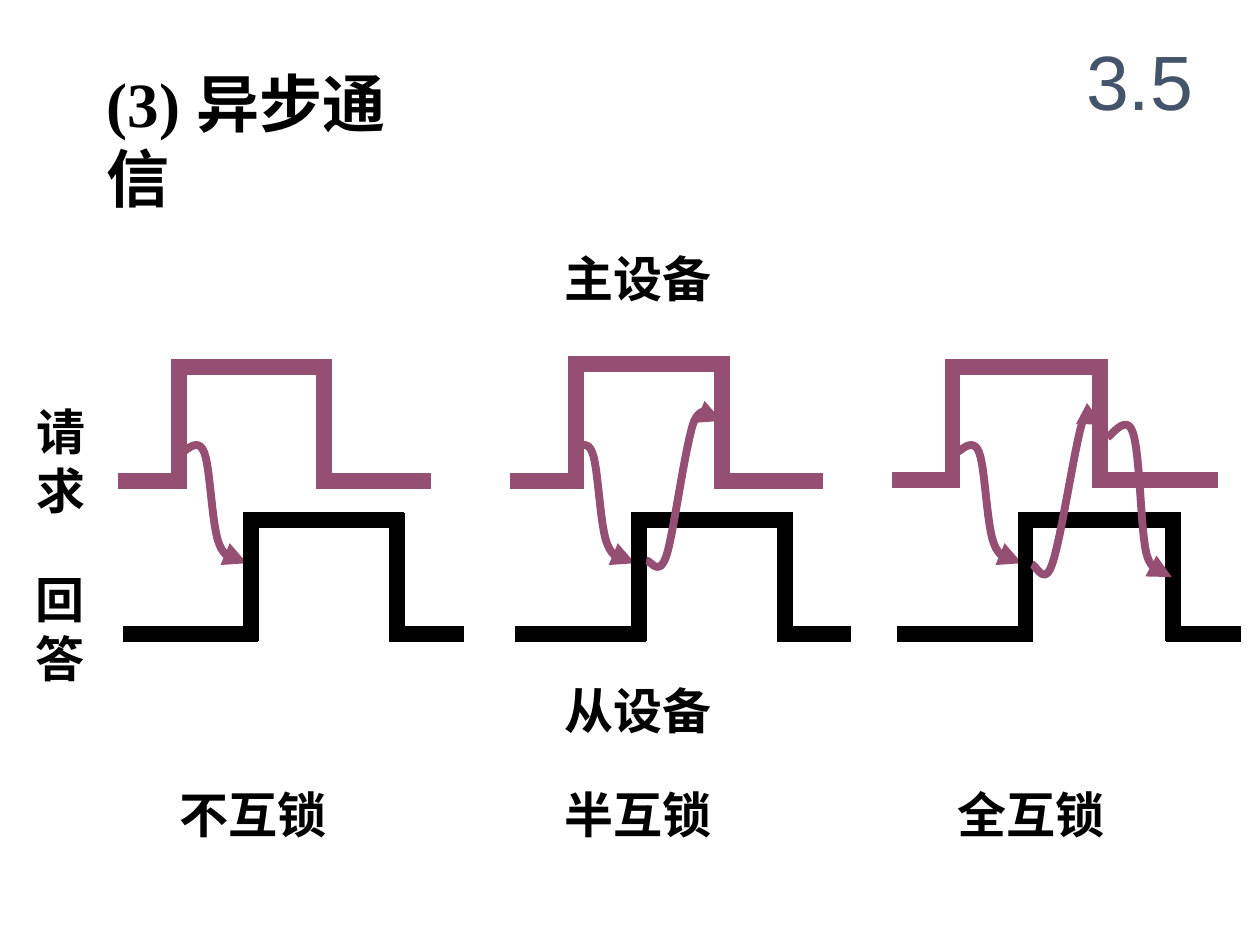
from dataclasses import dataclass

import lxml.etree
import pptx
import pptx.dml.color
import pptx.enum.shapes
import pptx.enum.text
import pptx.oxml.ns
import pptx.util

Inches = pptx.util.Inches
Pt = pptx.util.Pt
PP_ALIGN = pptx.enum.text.PP_ALIGN
MSO_ANCHOR = pptx.enum.text.MSO_ANCHOR

COLORS = {"request": "954F72", "reply": "000000", "text": "000000", "number": "44546A"}
PULSE_WIDTH = 9
ARROW_WIDTH = 4.5
OVERLAP = 0.06
CURVE_STEPS = 12

Point = tuple[float, float]


@dataclass(frozen=True)
class Label:
    text: str
    left: float
    top: float
    width: float
    height: float
    size: int = 28
    font: str = "Times New Roman"
    color: str = "text"
    bold: bool = True
    wrap: bool = True
    align: PP_ALIGN = PP_ALIGN.LEFT
    anchor: MSO_ANCHOR = MSO_ANCHOR.TOP
    right_margin: float = 0.1


@dataclass(frozen=True)
class Pulse:
    start: float
    rise: float
    fall: float
    end: float
    high: float
    low: float
    color: str


LABELS = [
    Label("不互锁", 1.33, 6.18, 2.08, 0.57),
    Label("半互锁", 4.38, 6.18, 2.37, 0.57),
    Label("全互锁", 7.5, 6.18, 2, 0.57),
    Label("(3) 异步通信", 0.75, 0.46, 2.92, 0.7, size=36, right_margin=0.3),
    Label("3.5", 8.42, 0.17, 1.25, 0.92, size=44, font="Arial", color="number",
          bold=False, align=PP_ALIGN.CENTER, anchor=MSO_ANCHOR.MIDDLE),
    Label("主设备", 4.38, 1.92, 2.53, 0.57),
    Label("从设备", 4.38, 5.35, 2.95, 0.57),
    Label("请\n求", 0.19, 3.14, 0.59, 1.03, wrap=False),
    Label("回\n答", 0.18, 4.47, 0.59, 1.03, wrap=False),
]

REQUESTS = [
    Pulse(0.94, 1.42, 2.57, 3.42, 2.91, 3.82, "request"),
    Pulse(4.05, 4.57, 5.73, 6.53, 2.89, 3.82, "request"),
    Pulse(7.08, 7.56, 8.73, 9.67, 2.91, 3.81, "request"),
]
REPLIES = [
    Pulse(0.98, 1.99, 3.15, 3.68, 4.13, 5.03, "reply"),
    Pulse(4.09, 5.07, 6.23, 6.75, 4.13, 5.03, "reply"),
    Pulse(7.12, 8.14, 9.31, 9.85, 4.13, 5.03, "reply"),
]

# Bezier points: a start, then two controls and an end for each segment.
# The x values of this one are measured from the rise of the reply.
REQUEST_TO_REPLY = [
    (-0.55, 3.59), (-0.52, 3.59), (-0.42, 3.46), (-0.37, 3.59),
    (-0.32, 3.71), (-0.31, 4.18), (-0.25, 4.32),
    (-0.19, 4.47), (-0.08, 4.44), (-0.03, 4.47),
]
RETURN_ARROWS = [
    [(5.13, 4.45), (5.16, 4.44), (5.23, 4.59), (5.29, 4.41),
     (5.35, 4.22), (5.44, 3.52), (5.51, 3.34),
     (5.59, 3.17), (5.7, 3.34), (5.73, 3.34)],
    [(8.19, 4.48), (8.22, 4.48), (8.29, 4.66), (8.35, 4.48),
     (8.42, 4.29), (8.53, 3.54), (8.59, 3.35),
     (8.66, 3.17), (8.72, 3.36), (8.75, 3.37)],
    [(8.79, 3.47), (8.82, 3.46), (8.94, 3.28), (8.99, 3.43),
     (9.05, 3.59), (9.05, 4.21), (9.1, 4.4),
     (9.15, 4.58), (9.27, 4.51), (9.3, 4.54),
     (9.33, 4.57), (9.3, 4.57), (9.3, 4.58)],
]


def rgb(name: str) -> pptx.dml.color.RGBColor:
    return pptx.dml.color.RGBColor.from_string(COLORS[name])


def add_label(slide, label: Label) -> None:
    box = slide.shapes.add_textbox(
        Inches(label.left), Inches(label.top), Inches(label.width), Inches(label.height))
    frame = box.text_frame
    frame_format = {
        "word_wrap": label.wrap,
        "vertical_anchor": label.anchor,
        "margin_right": Inches(label.right_margin),
        "text": label.text,
    }
    for name, value in frame_format.items():
        setattr(frame, name, value)
    font_format = {"size": Pt(label.size), "bold": label.bold, "name": label.font}
    for paragraph in frame.paragraphs:
        paragraph.alignment = label.align
        for run in paragraph.runs:
            for name, value in font_format.items():
                setattr(run.font, name, value)
            run.font.color.rgb = rgb(label.color)


def add_stroke(slide, start: Point, end: Point, color: str) -> None:
    stroke = slide.shapes.add_connector(
        pptx.enum.shapes.MSO_CONNECTOR.STRAIGHT,
        *(Inches(value) for value in (*start, *end)))
    stroke.line.color.rgb = rgb(color)
    stroke.line.width = Pt(PULSE_WIDTH)
    properties = stroke.line._get_or_add_ln().getparent()
    lxml.etree.SubElement(properties, pptx.oxml.ns.qn("a:effectLst"))


def add_pulse(slide, pulse: Pulse) -> None:
    """Draw the five strokes of a pulse, overlapping so that its corners are full."""
    left, right = pulse.rise - OVERLAP, pulse.fall + OVERLAP
    top, bottom = pulse.high - OVERLAP, pulse.low + OVERLAP
    strokes = [
        ((pulse.start, pulse.low), (pulse.rise + OVERLAP, pulse.low)),
        ((pulse.rise, top), (pulse.rise, bottom)),
        ((left, pulse.high), (right, pulse.high)),
        ((pulse.fall, top), (pulse.fall, bottom)),
        ((pulse.fall - OVERLAP, pulse.low), (pulse.end, pulse.low)),
    ]
    for start, end in strokes:
        add_stroke(slide, start, end, pulse.color)


def bezier_points(controls: list[Point]) -> list[Point]:
    """Sample chained cubic Bezier segments, leaving out the very first point."""
    points = []
    for first in range(0, len(controls) - 1, 3):
        segment = controls[first:first + 4]
        for step in range(1, CURVE_STEPS + 1):
            t = step / CURVE_STEPS
            weights = ((1 - t) ** 3, 3 * t * (1 - t) ** 2, 3 * t ** 2 * (1 - t), t ** 3)
            points.append(tuple(
                sum(weight * point[axis] for weight, point in zip(weights, segment))
                for axis in (0, 1)))
    return points


def add_curved_arrow(slide, controls: list[Point]) -> None:
    start_x, start_y = controls[0]
    builder = slide.shapes.build_freeform(Inches(start_x), Inches(start_y))
    builder.add_line_segments(
        [(Inches(x), Inches(y)) for x, y in bezier_points(controls)], close=False)
    arrow = builder.convert_to_shape()
    arrow.shadow.inherit = False
    arrow.fill.background()
    arrow.line.color.rgb = rgb("request")
    arrow.line.width = Pt(ARROW_WIDTH)
    lxml.etree.SubElement(
        arrow.line._get_or_add_ln(), pptx.oxml.ns.qn("a:tailEnd"), type="triangle")


def main() -> None:
    presentation = pptx.Presentation()
    presentation.slide_width = Inches(10)
    presentation.slide_height = Inches(7.5)
    slide = presentation.slides.add_slide(presentation.slide_layouts[6])

    for label in LABELS:
        add_label(slide, label)
    for request, reply in zip(REQUESTS, REPLIES):
        add_pulse(slide, request)
        add_curved_arrow(slide, [(reply.rise + x, y) for x, y in REQUEST_TO_REPLY])
        add_pulse(slide, reply)
    for controls in RETURN_ARROWS:
        add_curved_arrow(slide, controls)

    presentation.save("out.pptx")


if __name__ == "__main__":
    main()
